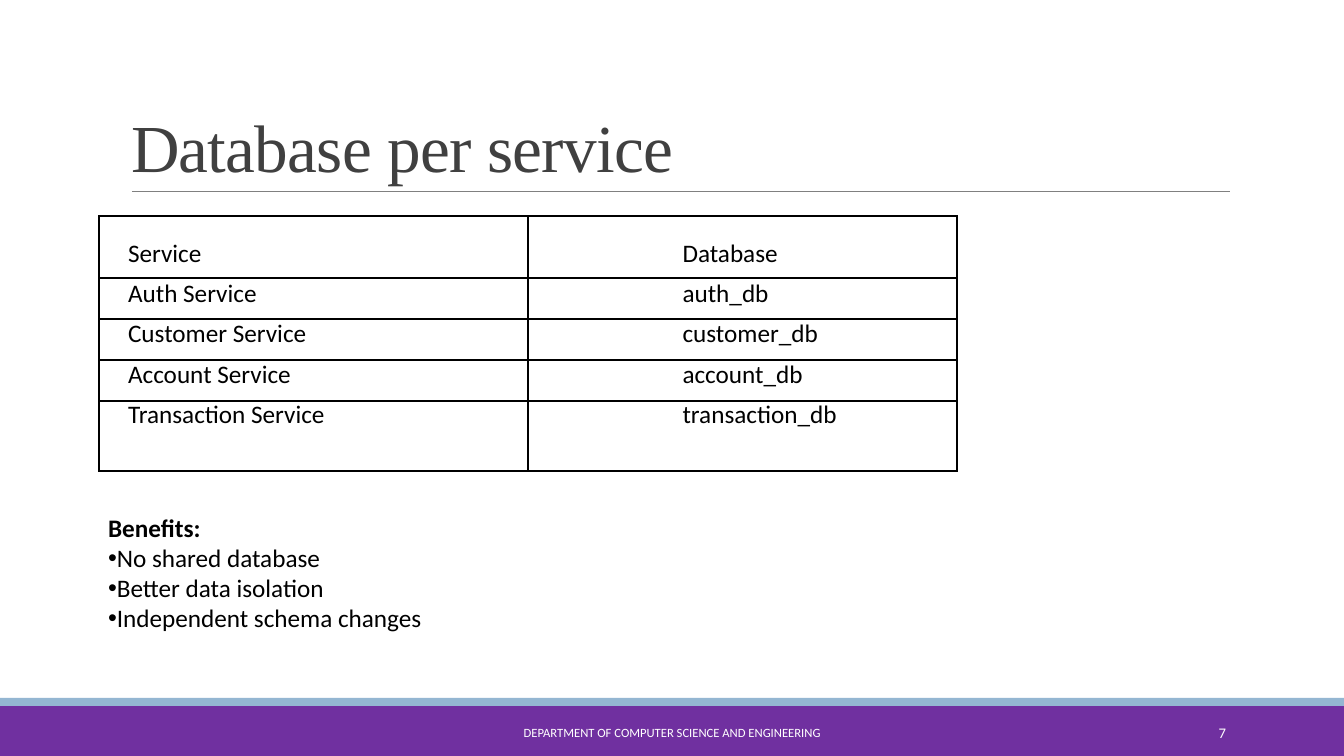
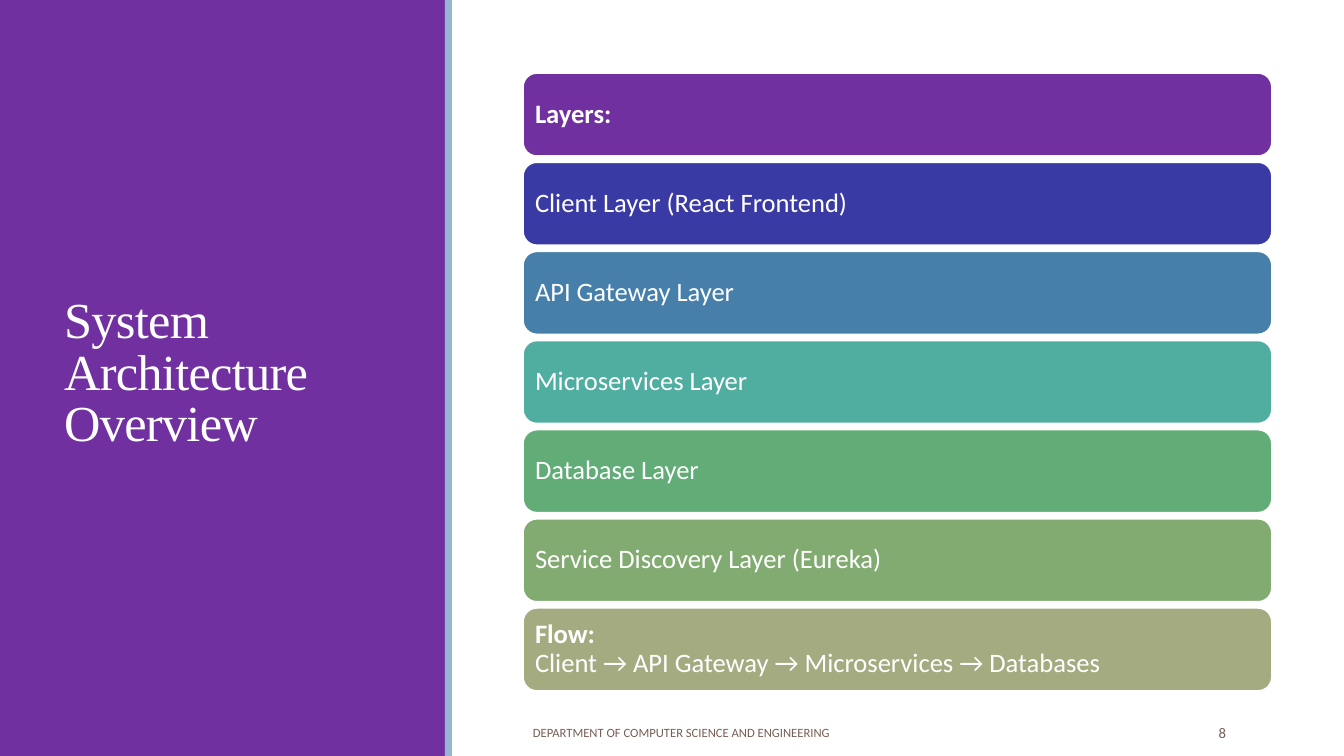
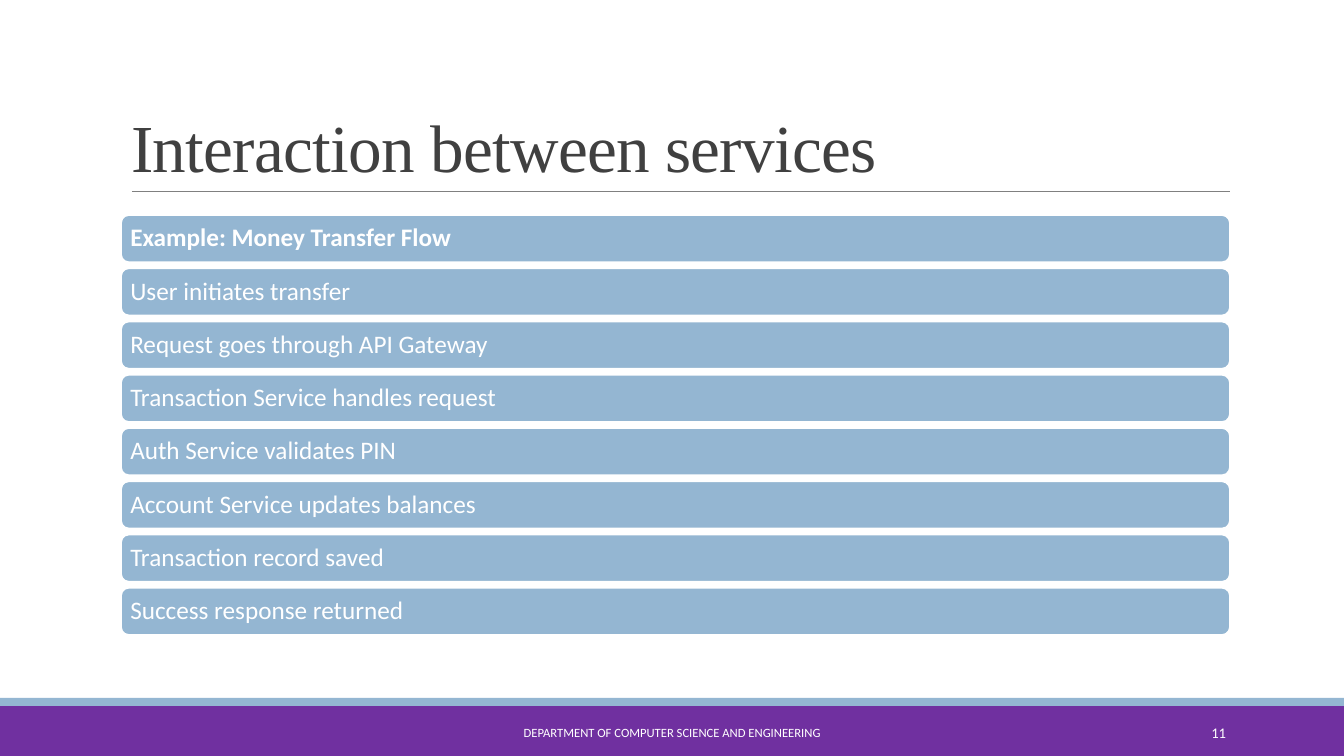
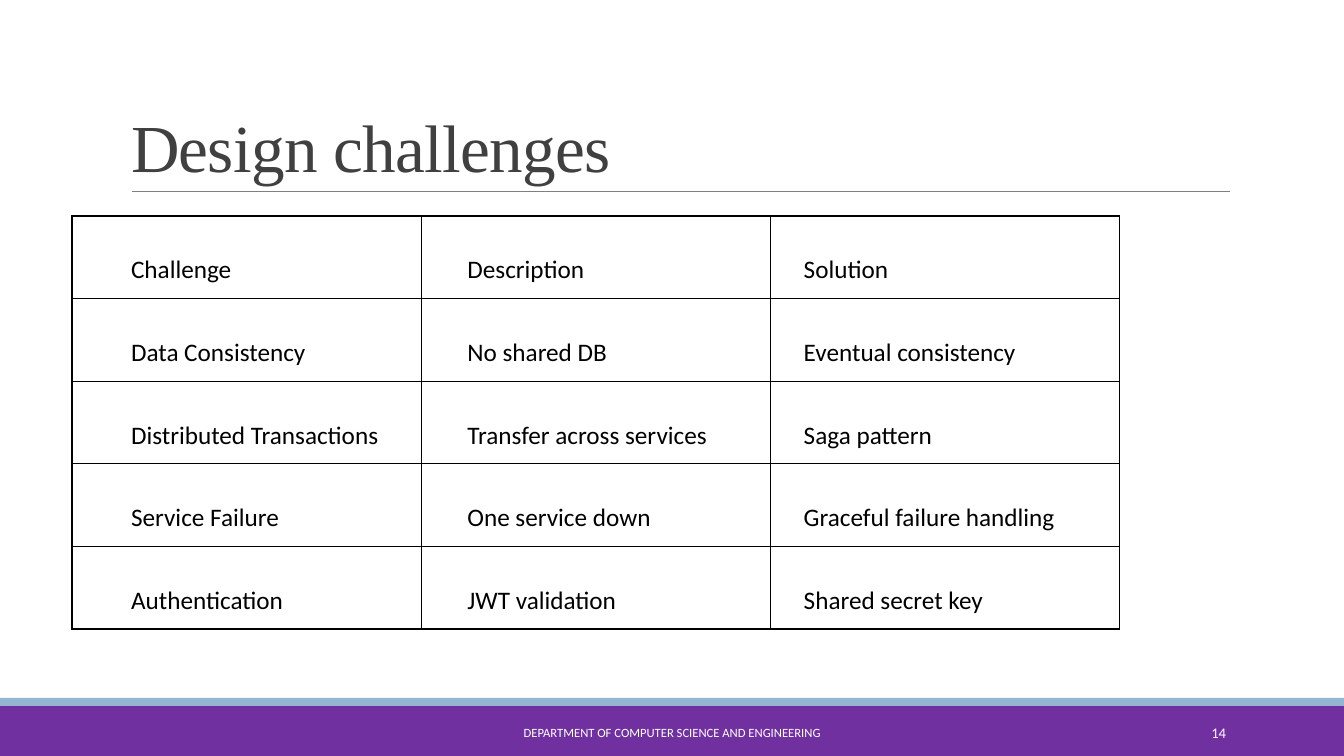
from lxml.etree import SubElement
from pptx import Presentation
from pptx.dml.color import RGBColor
from pptx.enum.shapes import MSO_CONNECTOR, MSO_SHAPE
from pptx.enum.text import MSO_ANCHOR, MSO_AUTO_SIZE, PP_ALIGN
from pptx.oxml.ns import qn
from pptx.util import Emu, Pt

PURPLE = RGBColor(0x70, 0x30, 0xA0)
SKY = RGBColor(0x94, 0xB6, 0xD2)
INDIGO = RGBColor(0x3A, 0x3A, 0xA5)
STEEL = RGBColor(0x45, 0x7F, 0xAA)
TEAL = RGBColor(0x50, 0xAE, 0xA0)
GREEN = RGBColor(0x61, 0xAC, 0x77)
MOSS = RGBColor(0x82, 0xAB, 0x71)
KHAKI = RGBColor(0xA5, 0xAB, 0x81)
BROWN = RGBColor(0x77, 0x5F, 0x55)
CHARCOAL = RGBColor(0x40, 0x40, 0x40)
GRAY = RGBColor(0x80, 0x80, 0x80)
BLACK = RGBColor(0, 0, 0)
WHITE = RGBColor(255, 255, 255)

EMU_PER_PX = 914400 / 100.8
WIDTH, HEIGHT = 1344, 756
TITLE_AND_BODY, TITLE_ONLY = 1, 5
DEPARTMENT = "DEPARTMENT OF COMPUTER SCIENCE AND ENGINEERING"


def px(length):
    return Emu(round(length * EMU_PER_PX))


class Deck:
    heading_font = "Times New Roman"
    text_font = "Calibri"

    def __init__(self):
        self.presentation = Presentation()
        self.presentation.slide_width = px(WIDTH)
        self.presentation.slide_height = px(HEIGHT)
        self.slide = None

    def add_slide(self, layout):
        layouts = self.presentation.slide_layouts
        self.slide = self.presentation.slides.add_slide(layouts[layout])

    def content_slide(self, heading, number, layout=TITLE_ONLY):
        self.add_slide(layout)
        self.band(0, 706, WIDTH, 50, PURPLE)
        self.band(0, 698, WIDTH, 8, SKY)
        self.rule(132, 1230, 191)
        self.title(heading, (121, 31, 1109, 160), 48, CHARCOAL, MSO_ANCHOR.BOTTOM)
        self.label(DEPARTMENT, 406, 532, 9, WHITE, PP_ALIGN.CENTER)
        self.label(number, 1092, 144, 10.5, WHITE, PP_ALIGN.RIGHT)

    def section_slide(self, heading, number):
        self.add_slide(TITLE_ONLY)
        self.band(0, 0, 446, HEIGHT, PURPLE)
        self.band(445, 0, 7, HEIGHT, SKY)
        self.title(heading, (54, 57, 340, 636), 36, WHITE, MSO_ANCHOR.MIDDLE)
        self.label(DEPARTMENT, 523, 562, 9, BROWN, PP_ALIGN.LEFT)
        self.label(number, 1116, 120, 10.5, BROWN, PP_ALIGN.RIGHT)

    def run(self, paragraph, text, size, color, bold=False, font=None):
        run = paragraph.add_run()
        run.text = text
        run.font.name = font or self.text_font
        run.font.size = Pt(size)
        run.font.bold = bold
        run.font.color.rgb = color
        return run

    def place(self, placeholder, box):
        placeholder.left, placeholder.top, placeholder.width, placeholder.height = map(px, box)
        self.slide.shapes._spTree.append(placeholder._element)

    def shape(self, preset, left, top, width, height, color):
        shape = self.slide.shapes.add_shape(preset, px(left), px(top), px(width), px(height))
        shape.shadow.inherit = False
        shape.fill.solid()
        shape.fill.fore_color.rgb = color
        return shape

    def band(self, left, top, width, height, color):
        self.shape(MSO_SHAPE.RECTANGLE, left, top, width, height, color).line.fill.background()

    def rule(self, start, end, y):
        rule = self.slide.shapes.add_connector(
            MSO_CONNECTOR.STRAIGHT, px(start), px(y), px(end), px(y))
        rule.line.color.rgb = GRAY
        rule.line.width = Pt(0.5)
        SubElement(rule._element.spPr, qn("a:effectLst"))

    def title(self, text, box, size, color, anchor):
        title = self.slide.shapes.title
        self.place(title, box)
        frame = title.text_frame
        frame.auto_size = MSO_AUTO_SIZE.NONE
        frame.vertical_anchor = anchor
        paragraph = frame.paragraphs[0]
        paragraph.alignment = PP_ALIGN.LEFT
        paragraph.line_spacing = 0.85
        run = self.run(paragraph, text, size, color, font=self.heading_font)
        run.font._element.set("spc", "-50")

    def label(self, text, left, width, size, color, alignment):
        label = self.slide.shapes.add_textbox(px(left), px(712), px(width), px(41))
        frame = label.text_frame
        frame.word_wrap = True
        frame.vertical_anchor = MSO_ANCHOR.MIDDLE
        paragraph = frame.paragraphs[0]
        paragraph.alignment = alignment
        self.run(paragraph, text, size, color)

    def bullets(self, heading, items, box):
        body = self.slide.placeholders[1]
        self.place(body, box)
        frame = body.text_frame
        frame.auto_size = MSO_AUTO_SIZE.NONE
        for index, text in enumerate([heading, *items]):
            paragraph = frame.add_paragraph() if index else frame.paragraphs[0]
            paragraph.space_before = Pt(0)
            self.run(paragraph, text, 18, BLACK, bold=index == 0)
            properties = paragraph._p.get_or_add_pPr()
            properties.set("marL", "0")
            properties.set("indent", "0")
            if index:
                SubElement(properties, qn("a:buChar")).set("char", "•")
            else:
                SubElement(properties, qn("a:buNone"))

    def cards(self, box, cards, size, margin, gap=6):
        left, top, width, total = box
        height = (total - gap * (len(cards) - 1)) / len(cards)
        for index, (color, heading, text) in enumerate(cards):
            card = self.shape(MSO_SHAPE.ROUNDED_RECTANGLE, left,
                              top + index * (height + gap), width, height, color)
            card.line.color.rgb = WHITE
            card.line.width = Pt(1.25)
            frame = card.text_frame
            frame.word_wrap = True
            frame.vertical_anchor = MSO_ANCHOR.MIDDLE
            frame.margin_left = frame.margin_right = px(margin)
            frame.margin_top = frame.margin_bottom = 0
            paragraph = frame.paragraphs[0]
            paragraph.alignment = PP_ALIGN.LEFT
            paragraph.line_spacing = 0.9
            if heading:
                self.run(paragraph, heading, size, WHITE, bold=True)
            if heading and text:
                paragraph.add_line_break()
            if text:
                self.run(paragraph, text, size, WHITE)

    def table(self, box, row_count, column_count):
        table = self.slide.shapes.add_table(row_count, column_count, *map(px, box)).table
        table.first_row = table.horz_banding = False
        return table

    def text_table(self, box, rows):
        table = self.table(box, len(rows), len(rows[0]))
        for row, texts in zip(table.rows, rows):
            for cell, text in zip(row.cells, texts):
                cell.vertical_anchor = MSO_ANCHOR.MIDDLE
                cell.fill.background()
                self.run(cell.text_frame.paragraphs[0], text, 18, BLACK)

    def grid(self, box, row_count, column_count, heights=()):
        table = self.table(box, row_count, column_count)
        for row, height in zip(table.rows, heights):
            row.height = px(height)
        for cell in table.iter_cells():
            self.borders(cell)
            cell.fill.background()

    def borders(self, cell):
        properties = cell._tc.get_or_add_tcPr()
        for side in ("lnL", "lnR", "lnT", "lnB"):
            border = SubElement(properties, qn(f"a:{side}"), w=str(Pt(1)))
            fill = SubElement(border, qn("a:solidFill"))
            SubElement(fill, qn("a:srgbClr"), val=str(BLACK))


def main():
    deck = Deck()

    deck.content_slide("Database per service", "7", TITLE_AND_BODY)
    databases = [
        ("Service", "Database"),
        ("Auth Service", "auth_db"),
        ("Customer Service", "customer_db"),
        ("Account Service", "account_db"),
        ("Transaction Service", "transaction_db"),
    ]
    deck.text_table((118, 233, 1109, 202), databases)
    deck.grid((99, 216, 858, 255), 5, 2, heights=(62, 41, 41, 41, 70))
    deck.bullets("Benefits:", [
        "No shared database",
        "Better data isolation",
        "Independent schema changes",
    ], (98, 507, 671, 132))

    deck.section_slide("System Architecture Overview", "8")
    deck.cards((523, 73, 749, 618), [
        (PURPLE, "Layers:", ""),
        (INDIGO, "", "Client Layer (React Frontend)"),
        (STEEL, "", "API Gateway Layer"),
        (TEAL, "", "Microservices Layer"),
        (GREEN, "", "Database Layer"),
        (MOSS, "", "Service Discovery Layer (Eureka)"),
        (KHAKI, "Flow:", "Client → API Gateway → Microservices → Databases"),
    ], size=19, margin=8)

    deck.content_slide("Interaction between services", "11")
    steps = [
        "User initiates transfer",
        "Request goes through API Gateway",
        "Transaction Service handles request",
        "Auth Service validates PIN",
        "Account Service updates balances",
        "Transaction record saved",
        "Success response returned",
    ]
    deck.cards((121, 215, 1109, 420),
               [(SKY, "Example: Money Transfer Flow", "")] + [(SKY, "", step) for step in steps],
               size=18, margin=7)

    deck.content_slide("Design challenges", "14")
    challenges = [
        ("Challenge", "Description", "Solution"),
        ("Data Consistency", "No shared DB", "Eventual consistency"),
        ("Distributed Transactions", "Transfer across services", "Saga pattern"),
        ("Service Failure", "One service down", "Graceful failure handling"),
        ("Authentication", "JWT validation", "Shared secret key"),
    ]
    deck.text_table((121, 229, 1009, 413), challenges)
    deck.grid((72, 216, 1048, 413), 5, 3)

    deck.presentation.save("out.pptx")


if __name__ == "__main__":
    main()
